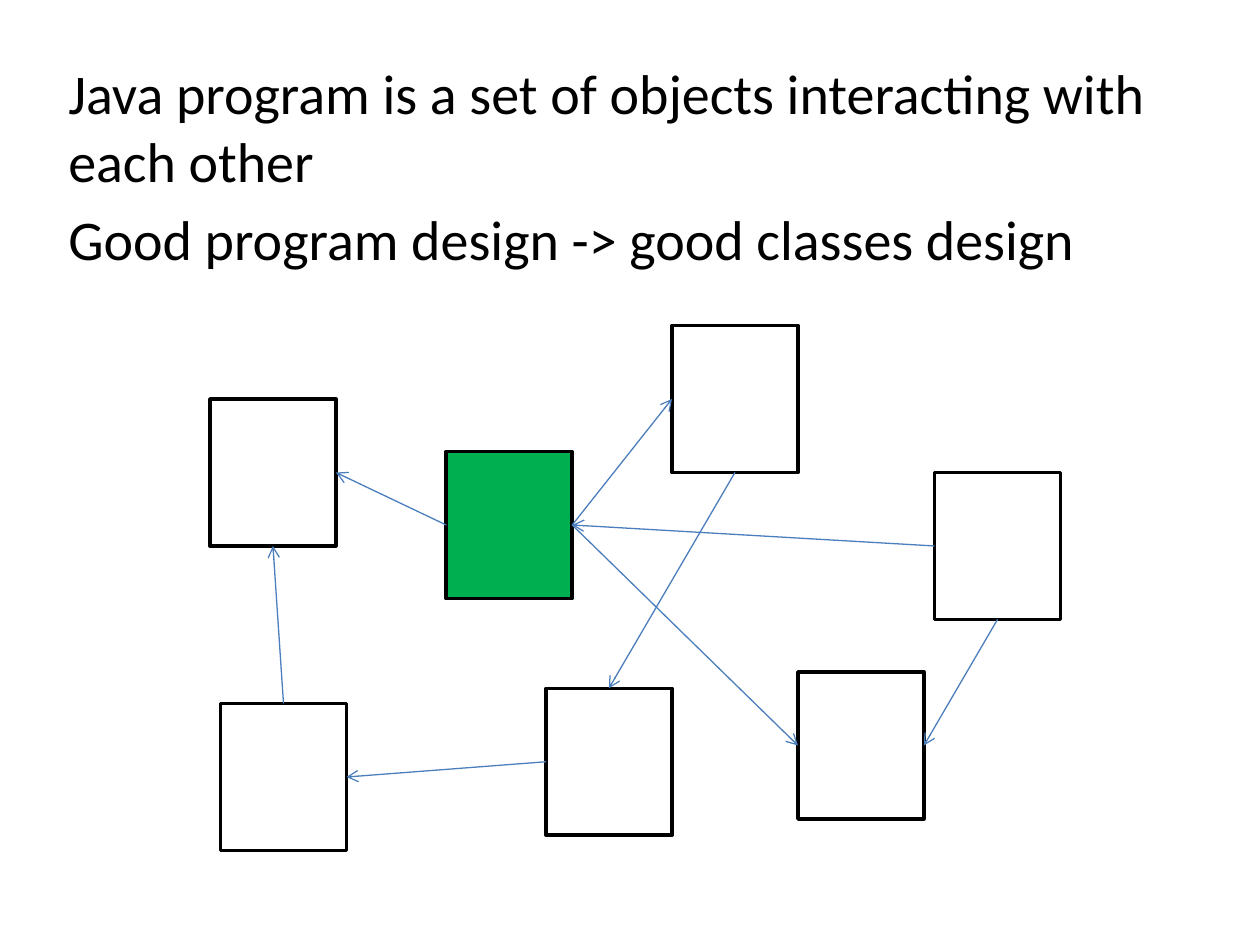
import pptx
import pptx.util
import pptx.dml.color
import pptx.enum.shapes
import pptx.enum.text
import pptx.oxml.ns
import lxml.etree

qn = pptx.oxml.ns.qn
Pt = pptx.util.Pt
cell = pptx.util.Inches(1) // 12


def paint(form, code):
    if hasattr(form, "solid"):
        form.solid()
        form = form.fore_color
    elif hasattr(form, "color"):
        form = form.color
    form.rgb = pptx.dml.color.RGBColor.from_string(code)


deck = pptx.Presentation()
deck.slide_width = 120 * cell
deck.slide_height = 90 * cell
slide = deck.slides.add_slide(deck.slide_layouts[1])
title, body = slide.placeholders
title.element.getparent().remove(title.element)

body.left, body.top = int(5.3 * cell), 5 * cell
body.width, body.height = 108 * cell, 74 * cell
frame = body.text_frame
frame.text = (
    "Java program is a set of objects interacting with each other\n"
    "Good program design -> good classes design"
)
frame.vertical_anchor = pptx.enum.text.MSO_ANCHOR.TOP
for para in frame.paragraphs:
    props = para._p.get_or_add_pPr()
    props.set("marL", "0")
    props.set("indent", "0")
    lxml.etree.SubElement(props, qn("a:buNone"))
    font = para.runs[0].font
    font.name = "Calibri"
    font.size = Pt(32)
    paint(font, "000000")

spots = {
    "west": (20, 38),
    "hub": (42.5, 43),
    "southwest": (21, 67),
    "south": (52, 65.55),
    "north": (64, 31),
    "southeast": (76, 64),
    "east": (89, 45),
}
boxes = {}
for place, (col, row) in spots.items():
    box = slide.shapes.add_shape(
        pptx.enum.shapes.MSO_SHAPE.RECTANGLE,
        int(col * cell), int(row * cell), 12 * cell, 14 * cell,
    )
    box.shadow.inherit = False
    paint(box.fill, "00B050" if place == "hub" else "FFFFFF")
    paint(box.line, "000000")
    box.line.width = Pt(2)
    boxes[place] = box

top, left, bottom, right = range(4)
links = [
    ("hub", left, "west", right),
    ("hub", right, "north", left),
    ("north", bottom, "south", top),
    ("hub", right, "southeast", left),
    ("east", left, "hub", right),
    ("southwest", top, "west", bottom),
    ("south", left, "southwest", right),
    ("east", bottom, "southeast", right),
]
for start, exit, end, entry in links:
    tail, head = boxes[start], boxes[end]
    arrow = slide.shapes.add_connector(
        pptx.enum.shapes.MSO_CONNECTOR.STRAIGHT,
        tail.left, tail.top, head.left, head.top,
    )
    arrow.begin_connect(tail, exit)
    arrow.end_connect(head, entry)
    paint(arrow.line, "4B7EBC")
    arrow.line.width = Pt(0.75)
    line = arrow.line._get_or_add_ln()
    lxml.etree.SubElement(line, qn("a:tailEnd")).set("type", "arrow")
    lxml.etree.SubElement(arrow._element.spPr, qn("a:effectLst"))

deck.save("out.pptx")
